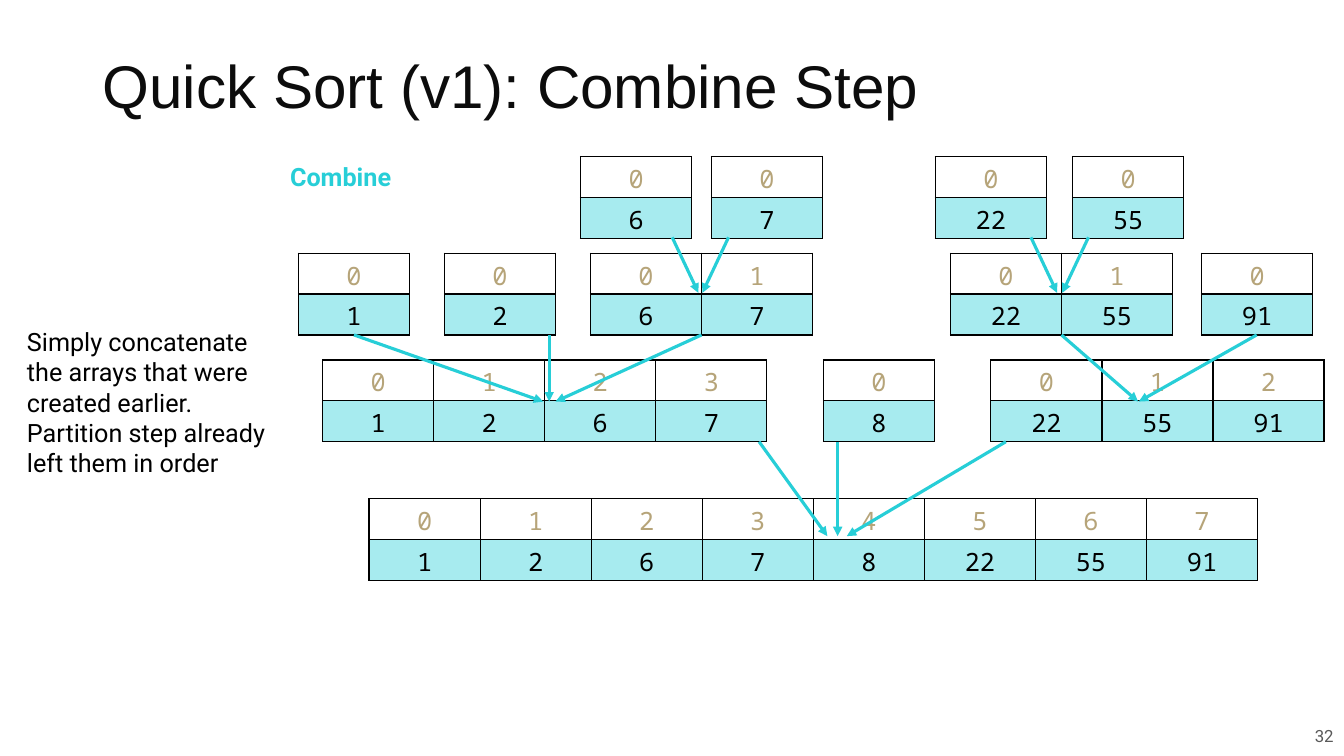
import lxml.etree
import pptx
import pptx.dml.color
import pptx.enum.shapes
import pptx.enum.text
import pptx.oxml.ns
import pptx.util

Cm = pptx.util.Cm
Pt = pptx.util.Pt
qn = pptx.oxml.ns.qn
ALIGN = pptx.enum.text.PP_ALIGN
MIDDLE = pptx.enum.text.MSO_ANCHOR.MIDDLE

CELL_WIDTH, ROW_HEIGHT = 2.8, 1.03
TEAL, AQUA, BLACK, WHITE = "27CED7", "A7EBEF", "000000", "FFFFFF"

TITLE = {"name": "Arial", "size": Pt(43)}
BODY = {"name": "Roboto", "size": Pt(18)}
LABEL = {**BODY, "bold": True}
PAGE_NUMBER = {"name": "Roboto", "size": Pt(12)}
CELL = {"name": "Noto Sans Mono", "size": Pt(18), "bold": False}

# Top of each level, then (left, values) of its arrays, in centimetres
ARRAY_LEVELS = [
    (3.94, [(14.63, [6]), (17.93, [7]), (23.57, [22]), (27.03, [55])]),
    (6.38, [(7.52, [1]), (11.2, [2]), (14.88, [6, 7]), (23.95, [22, 55]), (30.28, [91])]),
    (9.07, [(8.13, [1, 2, 6, 7]), (20.75, [8]), (24.97, [22, 55, 91])]),
    (12.57, [(9.3, [1, 2, 6, 7, 8, 22, 55, 91])]),
]

# Start and end height of each level, then (start, end) across for its arrows
ARROW_LEVELS = [
    (5.98, 7.38, [(18.36, 17.7), (16.94, 17.6), (27.43, 26.77), (25.98, 26.64)]),
    (8.44, 10.12, [(13.84, 13.84), (8.92, 13.69), (17.68, 14), (26.75, 28.68), (31.67, 28.7)]),
    (11.13, 13.51, [(19.13, 20.85), (21.11, 21.11), (25.35, 21.34)]),
]


def rgb(value):
    return pptx.dml.color.RGBColor.from_string(value)


def set_values(target, values):
    for name, value in values.items():
        setattr(target, name, value)


def write(para, text, font_values, color):
    span = para.add_run()
    span.text = text
    set_values(span.font, font_values)
    span.font.color.rgb = rgb(color)


def add_text(page, bounds, text, font_values, color, frame_values=None, para_values=None):
    box = page.shapes.add_textbox(*map(Cm, bounds))
    frame = box.text_frame
    set_values(frame, {"word_wrap": True, **(frame_values or {})})
    para = frame.paragraphs[0]
    set_values(para, para_values or {})
    write(para, text, font_values, color)


def add_borders(cell):
    """Draw a thin black line on all four sides; borders must precede the fill."""
    properties = cell._tc.get_or_add_tcPr()
    for position, side in enumerate(["lnL", "lnR", "lnT", "lnB"]):
        line = lxml.etree.Element(qn("a:" + side), w=str(Pt(1)))
        fill = lxml.etree.SubElement(line, qn("a:solidFill"))
        lxml.etree.SubElement(fill, qn("a:srgbClr"), val=BLACK)
        properties.insert(position, line)


def fill_cell(cell, text, fill, color):
    cell.fill.solid()
    cell.fill.fore_color.rgb = rgb(fill)
    cell.vertical_anchor = MIDDLE
    para = cell.text_frame.paragraphs[0]
    para.alignment = ALIGN.CENTER
    write(para, text, CELL, color)
    add_borders(cell)


def add_array(page, left, top, values):
    """Show an array as a table with indices above values."""
    count = len(values)
    table = page.shapes.add_table(
        2, count, Cm(left), Cm(top), Cm(CELL_WIDTH * count), Cm(ROW_HEIGHT * 2)
    ).table
    set_values(table, {"first_row": False, "horz_banding": False})
    for row in table.rows:
        row.height = Cm(ROW_HEIGHT)
    for index, value in enumerate(values):
        table.columns[index].width = Cm(CELL_WIDTH)
        fill_cell(table.cell(0, index), str(index), WHITE, "B6A479")
        fill_cell(table.cell(1, index), str(value), AQUA, BLACK)


def add_arrow(page, start_x, start_y, end_x, end_y):
    arrow = page.shapes.add_connector(
        pptx.enum.shapes.MSO_CONNECTOR.STRAIGHT,
        *map(Cm, (start_x, start_y, end_x, end_y)),
    )
    arrow.line.color.rgb = rgb(TEAL)
    arrow.line.width = Pt(2.25)
    lxml.etree.SubElement(arrow.line._get_or_add_ln(), qn("a:tailEnd"), type="triangle")
    lxml.etree.SubElement(arrow._element.spPr, qn("a:effectLst"))


def main():
    deck = pptx.Presentation()
    set_values(deck, {"slide_width": Cm(33.87), "slide_height": Cm(19.05)})
    page = deck.slides.add_slide(deck.slide_layouts[6])

    add_text(page, (21.97, 18.03, 11.89, 1.02), "32", PAGE_NUMBER, "595959",
             {"vertical_anchor": MIDDLE, "margin_top": Cm(0.25), "margin_bottom": Cm(0.25)},
             {"alignment": ALIGN.RIGHT})
    add_text(page, (2.34, 1.24, 29.21, 2.11), "Quick Sort (v1): Combine Step", TITLE, "0C0C0C",
             {"vertical_anchor": MIDDLE}, {"line_spacing": 0.8})
    add_text(page, (7.06, 3.94, 3.68, 1.02), "Combine", LABEL, TEAL)
    add_text(page, (0.43, 8.1, 6.81, 4.11),
             "Simply concatenate the arrays that were created earlier. "
             "Partition step already left them in order", BODY, BLACK)

    for top, arrays in ARRAY_LEVELS:
        for left, values in arrays:
            add_array(page, left, top, values)
    for start_y, end_y, arrows in ARROW_LEVELS:
        for start_x, end_x in arrows:
            add_arrow(page, start_x, start_y, end_x, end_y)

    deck.save("out.pptx")


if __name__ == "__main__":
    main()
